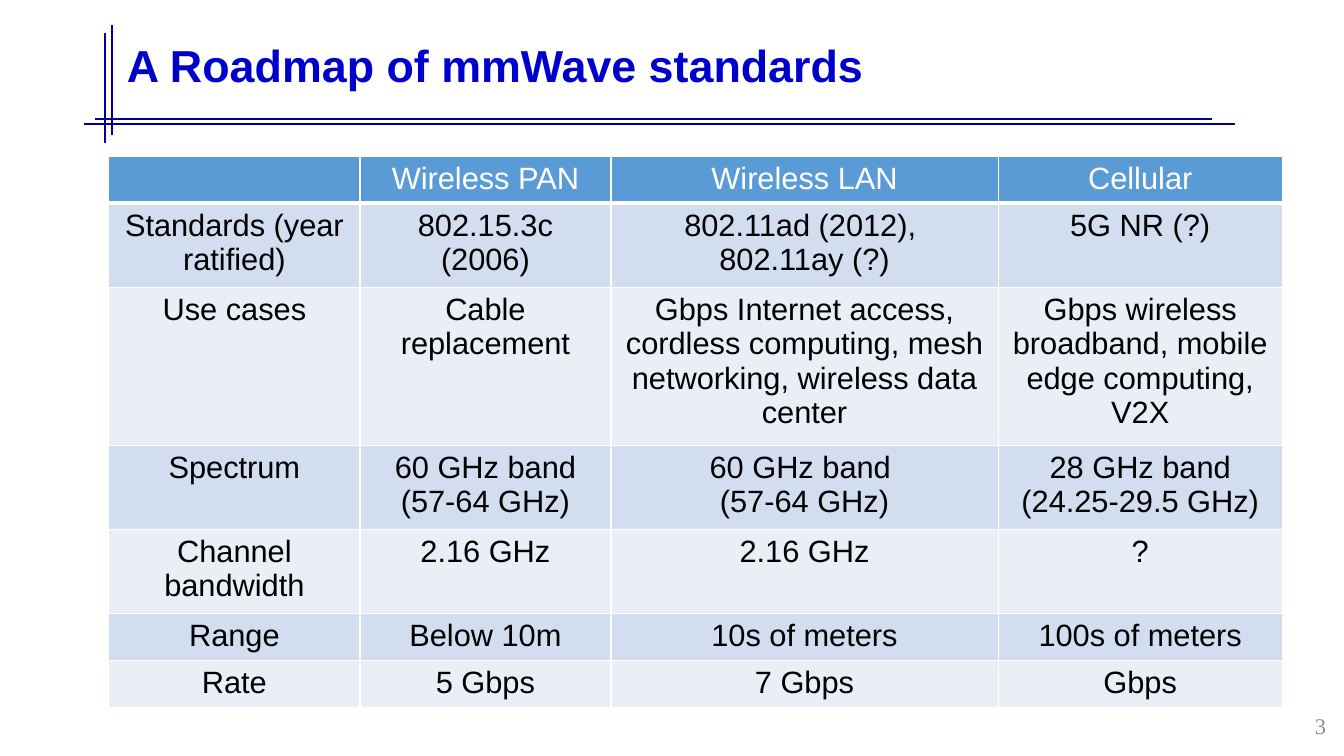
from lxml import etree
from pptx import Presentation
from pptx.dml.color import RGBColor
from pptx.enum.shapes import MSO_CONNECTOR
from pptx.enum.text import MSO_ANCHOR, PP_ALIGN
from pptx.oxml.ns import qn
from pptx.util import Inches, Pt

STRAIGHT = MSO_CONNECTOR.STRAIGHT
MIDDLE = MSO_ANCHOR.MIDDLE
LEFT, CENTER, RIGHT = PP_ALIGN.LEFT, PP_ALIGN.CENTER, PP_ALIGN.RIGHT

COLORS = {
    "rule": "000099",
    "title": "0000CC",
    "page": "8C8C8C",
    "header": "5B9BD5",
    "odd": "D2DEEF",
    "even": "EAEFF7",
    "white": "FFFFFF",
    "black": "000000",
}

# Start and end of each rule of the title frame, in inches
FRAME_RULES = [
    (0.94, 1.18, 12.02, 1.18),
    (0.83, 1.23, 12.25, 1.23),
    (1.04, 0.33, 1.04, 1.42),
    (1.11, 0.25, 1.11, 1.34),
]

COLUMN_WIDTHS = [2.49, 2.49, 3.84, 2.82]
ROW_HEIGHT = 0.41
STANDARDS = [
    ["", "Wireless PAN", "Wireless LAN", "Cellular"],
    ["Standards (year ratified)", "802.15.3c (2006)",
     "802.11ad (2012), \n802.11ay (?)", "5G NR (?)"],
    ["Use cases", "Cable replacement",
     "Gbps Internet access, cordless computing, mesh networking, "
     "wireless data center",
     "Gbps wireless broadband, mobile edge computing, V2X"],
    ["Spectrum", "60 GHz band (57-64 GHz)", "60 GHz band \n(57-64 GHz)",
     "28 GHz band (24.25-29.5 GHz)"],
    ["Channel bandwidth", "2.16 GHz", "2.16 GHz", "?"],
    ["Range", "Below 10m", "10s of meters", "100s of meters"],
    ["Rate", "5 Gbps", "7 Gbps", "Gbps"],
]


def rgb(name):
    return RGBColor.from_string(COLORS[name])


def write(frame, text, size, color, font="Arial", bold=False, align=LEFT,
          spacing=1.0):
    paragraph = frame.paragraphs[0]
    paragraph.text = text
    paragraph.alignment = align
    paragraph.line_spacing = spacing
    for run in paragraph.runs:
        run.font.name = font
        run.font.size = Pt(size)
        run.font.bold = bold
        run.font.color.rgb = rgb(color)


def add_label(slide, box, text, **text_format):
    label = slide.shapes.add_textbox(*map(Inches, box))
    label.text_frame.word_wrap = True
    label.text_frame.vertical_anchor = MIDDLE
    write(label.text_frame, text, **text_format)


def add_rule(slide, ends):
    rule = slide.shapes.add_connector(STRAIGHT, *map(Inches, ends))
    rule.line.color.rgb = rgb("rule")
    rule.line.width = Pt(1.75)
    etree.SubElement(rule._element.spPr, qn("a:effectLst"))


def set_borders(cell, bottom):
    properties = cell._tc.get_or_add_tcPr()
    for side, points in (("L", 1), ("R", 1), ("T", 1), ("B", bottom)):
        border = etree.SubElement(properties, qn(f"a:ln{side}"),
                                  w=str(Pt(points)))
        fill = etree.SubElement(border, qn("a:solidFill"))
        etree.SubElement(fill, qn("a:srgbClr"), val=COLORS["white"])


def add_standards_table(slide, left, top):
    size = sum(COLUMN_WIDTHS), ROW_HEIGHT * len(STANDARDS)
    table = slide.shapes.add_table(
        len(STANDARDS), len(COLUMN_WIDTHS),
        *map(Inches, (left, top, *size))).table
    for column, width in zip(table.columns, COLUMN_WIDTHS):
        column.width = Inches(width)
    for row_index, row in enumerate(STANDARDS):
        is_header = row_index == 0
        band = "header" if is_header else ("even", "odd")[row_index % 2]
        for column_index, text in enumerate(row):
            cell = table.cell(row_index, column_index)
            set_borders(cell, bottom=3 if is_header else 1)
            cell.fill.solid()
            cell.fill.fore_color.rgb = rgb(band)
            write(cell.text_frame, text, size=22, align=CENTER,
                  color="white" if is_header else "black")


def main():
    deck = Presentation()
    deck.slide_width, deck.slide_height = Inches(13.33), Inches(7.5)
    slide = deck.slides.add_slide(deck.slide_layouts[6])

    # Title with its crossed rules
    for ends in FRAME_RULES:
        add_rule(slide, ends)
    add_label(slide, (1.16, 0.05, 12, 1.25), "A Roadmap of mmWave standards",
              size=32, color="title", bold=True, spacing=0.9)

    # Page number
    add_label(slide, (12.65, 7.02, 0.6, 0.36), "3", size=16, color="page",
              font="Times New Roman", align=RIGHT)

    # Comparison of the standards
    add_standards_table(slide, left=1.08, top=1.55)

    deck.save("out.pptx")


if __name__ == "__main__":
    main()
